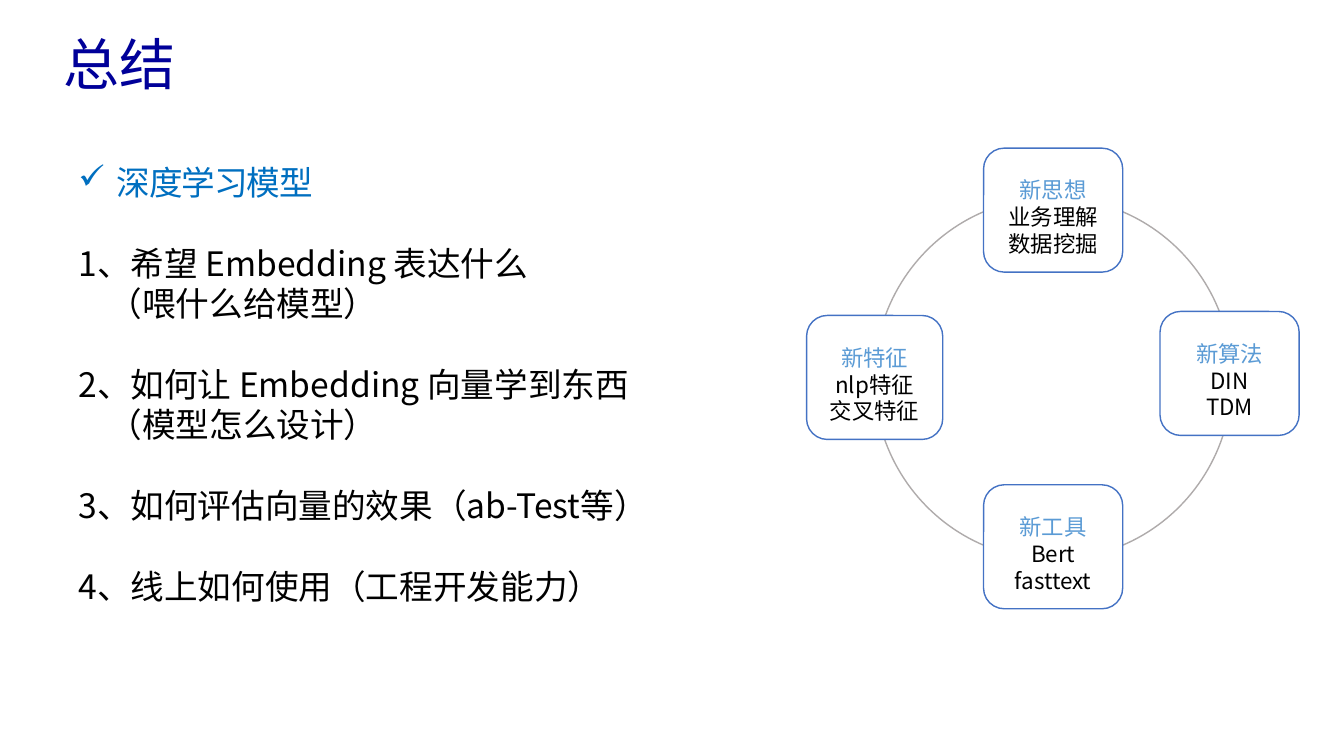
from dataclasses import dataclass

from lxml import etree
from pptx import Presentation
from pptx import util as u
from pptx.dml.color import RGBColor
from pptx.enum import shapes, text
from pptx.oxml.ns import qn


@dataclass(frozen=True)
class Theme:
    font: str = "Noto Sans CJK SC"
    title: str = "000099"
    heading: str = "006FC0"
    accent: str = "5B9BD5"
    ink: str = "000000"
    paper: str = "FFFFFF"
    ring: str = "AFABAB"
    border: str = "4472C4"
    title_size: int = 40
    body_size: int = 24
    card_size: int = 16
    leading: float = 1.2


THEME = Theme()
CELL = u.Inches(0.1)
COLUMNS, ROWS = 133.3, 75

POINTS = [
    ("1、希望 Embedding 表达什么", "（喂什么给模型）"),
    ("2、如何让 Embedding 向量学到东西", "（模型怎么设计）"),
    ("3、如何评估向量的效果（ab-Test等）",),
    ("4、线上如何使用（工程开发能力）",),
]
CARDS = [
    (0, -16.7, 13.8, ("新思想", "业务理解", "数据挖掘")),
    (17.5, -0.5, 13.8, ("新算法", "DIN", "TDM")),
    (0, 16.7, 13.8, ("新工具", "Bert", "fasttext")),
    (-17.7, -0.1, 13.5, ("新特征", "nlp特征", "交叉特征")),
]
CARD_HEIGHT = 12.3


def grid(*cells):
    return [round(cell * CELL) for cell in cells]


def write(paragraph, words, size, color, leading=None):
    paragraph.text = words
    paragraph.font.size = u.Pt(size)
    paragraph.font.color.rgb = RGBColor.from_string(color)
    paragraph.font.name = THEME.font
    if leading:
        paragraph.line_spacing = u.Pt(size * leading)
    defaults = paragraph._p.pPr.find(qn("a:defRPr"))
    etree.SubElement(defaults, qn("a:ea"), typeface=THEME.font)
    return defaults


def indent(paragraph, margin, first=0):
    properties = paragraph._p.get_or_add_pPr()
    properties.set("marL", str(u.Inches(margin)))
    properties.set("indent", str(u.Inches(first)))


def add_title(slide, box, words):
    title = slide.shapes.title
    title.left, title.top, title.width, title.height = grid(*box)
    frame = title.text_frame
    frame.vertical_anchor = text.MSO_ANCHOR.MIDDLE
    frame.margin_left = frame.margin_right = u.Inches(0.13)
    frame.margin_top = frame.margin_bottom = u.Inches(0.07)
    heading = frame.paragraphs[0]
    write(heading, words, THEME.title_size, THEME.title)
    heading.alignment = text.PP_ALIGN.LEFT
    indent(heading, 0, 0.5)


def add_points(slide, box, heading_words, points):
    frame = slide.shapes.add_textbox(*grid(*box)).text_frame
    frame.word_wrap = True
    heading = frame.paragraphs[0]
    defaults = write(heading, heading_words, THEME.body_size, THEME.heading, THEME.leading)
    defaults.set("spc", "-80")
    indent(heading, 0.38, -0.38)
    bullet = etree.Element(qn("a:buChar"), char="✓")
    defaults.addprevious(bullet)
    for point in points:
        for number, line in enumerate(point):
            paragraph = frame.add_paragraph()
            write(paragraph, line, THEME.body_size, THEME.ink, THEME.leading)
            if number:
                indent(paragraph, 0.3)
            else:
                paragraph.space_before = u.Pt(THEME.body_size * THEME.leading)


def add_outline(slide, preset, box, color):
    outline = slide.shapes.add_shape(preset, *grid(*box))
    outline.shadow.inherit = False
    outline.line.color.rgb = RGBColor.from_string(color)
    outline.line.width = u.Pt(1)
    return outline


def add_card(slide, box, lines):
    card = add_outline(slide, shapes.MSO_SHAPE.ROUNDED_RECTANGLE, box, THEME.border)
    card.fill.solid()
    card.fill.fore_color.rgb = RGBColor.from_string(THEME.paper)
    frame = card.text_frame
    frame.word_wrap = True
    frame.vertical_anchor = text.MSO_ANCHOR.MIDDLE
    for number, line in enumerate(lines):
        paragraph = frame.add_paragraph() if number else frame.paragraphs[0]
        color = THEME.ink if number else THEME.accent
        leading = THEME.leading if number else THEME.leading * 1.5
        write(paragraph, line, THEME.card_size, color, leading)
        paragraph.alignment = text.PP_ALIGN.CENTER


def add_cycle(slide, box, cards):
    left, top, width, height = box
    ring = add_outline(slide, shapes.MSO_SHAPE.OVAL, box, THEME.ring)
    ring.fill.background()
    for across, down, card_width, lines in cards:
        card_left = left + width / 2 + across - card_width / 2
        card_top = top + height / 2 + down - CARD_HEIGHT / 2
        add_card(slide, (card_left, card_top, card_width, CARD_HEIGHT), lines)


def add_summary(deck):
    slide = deck.slides.add_slide(deck.slide_layouts[5])
    add_title(slide, (0, 0, COLUMNS, 12.5), "总结")
    add_cycle(slide, (86.7, 19.6, 35.5, 35.9), CARDS)
    add_points(slide, (6.8, 15.6, 63.6, 47.1), "深度学习模型", POINTS)


def main():
    deck = Presentation()
    deck.slide_width, deck.slide_height = grid(COLUMNS, ROWS)
    add_summary(deck)
    deck.save("out.pptx")


if __name__ == "__main__":
    main()
